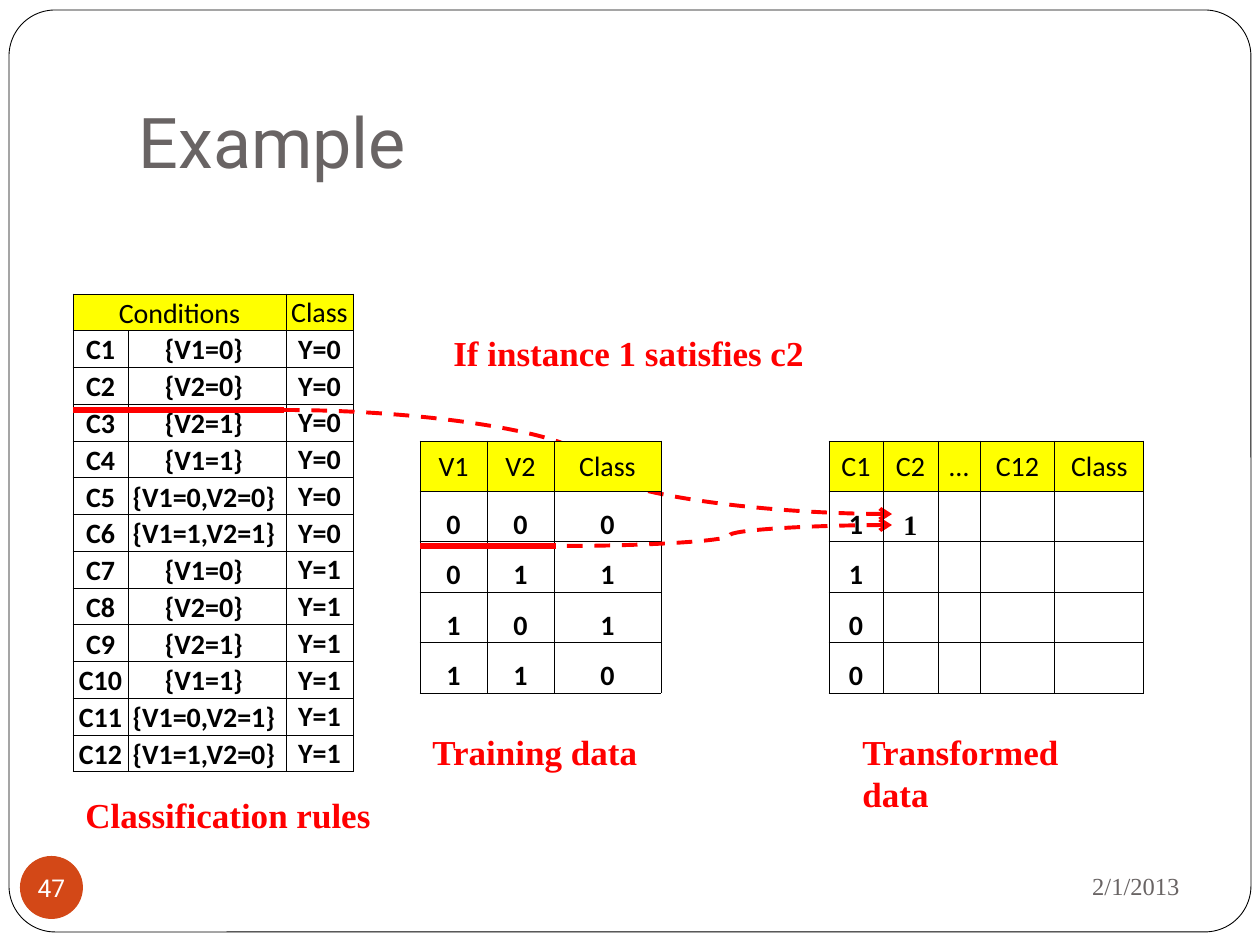
from pptx import Presentation
from pptx.dml.color import RGBColor
from pptx.enum.dml import MSO_LINE
from pptx.enum.shapes import MSO_CONNECTOR as LINK, MSO_SHAPE as SHAPE
from pptx.enum.text import MSO_ANCHOR as ANCHOR, PP_ALIGN as ALIGN
from pptx.oxml.ns import qn
from pptx.util import Inches, Pt
from lxml.etree import SubElement

# Content
SERIF, SANS, HEAD = "Times New Roman", "Calibri", "Roboto"
RED, GREY, BLACK, WHITE, YELLOW = "FF0000", "696464", "000000", "FFFFFF", "FFFF00"

sets = ["V1=0", "V2=0", "V2=1", "V1=1", "V1=0,V2=0", "V1=1,V2=1",
        "V1=0", "V2=0", "V2=1", "V1=1", "V1=0,V2=1", "V1=1,V2=0"]
rules = [["Conditions", "", "Class"]] + [
    [f"C{n}", f"{{{cond}}} ", "Y=0" if n <= 6 else "Y=1"]
    for n, cond in enumerate(sets, 1)]
train = [["V1", "V2", "Class"], ["0", "0", "0"], ["0", "1", "1"],
         ["1", "0", "1"], ["1", "1", "0"]]
trans = [["C1", "C2", "…", "C12", "Class"], ["1", "1", "", "", ""]] + [
    [bit, "", "", "", ""] for bit in "100"]

# left, top, height, column widths, rows
tables = {
    "rules": (73, 294, 478, [55, 158, 67], rules),
    "train": (420, 441, 252, [67, 67, 107], train),
    "trans": (829, 441, 252, [54, 55, 42, 75, 89], trans),
}
labels = [
    ("If instance 1 satisfies c2", 441, 325, 441),
    ("Training data", 420, 724, 242),
    ("Classification rules", 73, 787, 315),
    ("Transformed data", 850, 724, 294),
]
rule_curve = (284, 410, 892, 514)
data_curve = (567, 546, 892, 525)
marks = [(73, 410, 284, 410), (420, 546, 556, 546)]

# Helpers
SCALE = Inches(1) / 126


def px(num):
    return round(num * SCALE)


def box(*nums):
    return [px(num) for num in nums]


def paint(fill, code):
    fill.solid()
    fill.fore_color.rgb = RGBColor.from_string(code)


def write(frame, text, size, font, color, bold=False, align=ALIGN.LEFT):
    frame.text = text
    para = frame.paragraphs[0]
    para.alignment = align
    for run in para.runs:
        run.font.size, run.font.name, run.font.bold = Pt(size), font, bold
        run.font.color.rgb = RGBColor.from_string(color)


def inset(part, left, top, right, base):
    part.margin_left, part.margin_top = Inches(left), Inches(top)
    part.margin_right, part.margin_bottom = Inches(right), Inches(base)


def label(text, left, top, wide, high=55, size=20, color=RED, bold=True,
          align=ALIGN.LEFT, anchor=ANCHOR.TOP):
    frame = shapes.add_textbox(*box(left, top, wide, high)).text_frame
    frame.word_wrap = True
    frame.vertical_anchor = anchor
    write(frame, text, size, SERIF, color, bold, align)


def link(ends, width, curve=False):
    kind = LINK.CURVE if curve else LINK.STRAIGHT
    line = shapes.add_connector(kind, *box(*ends))
    paint(line.line.fill, RED)
    line.line.width = Pt(width)
    SubElement(line._element.spPr, qn("a:effectLst"))
    if curve:
        line.line.dash_style = MSO_LINE.DASH
        SubElement(line.line._get_or_add_ln(), qn("a:tailEnd"), type="arrow")


def edge(cell):
    props = cell._tc.get_or_add_tcPr()
    for pos, side in enumerate(("lnL", "lnR", "lnT", "lnB")):
        line = SubElement(props, qn(f"a:{side}"), w=str(Pt(0.5)))
        fill = SubElement(line, qn("a:solidFill"))
        SubElement(fill, qn("a:srgbClr"), val=BLACK)
        props.insert(pos, line)


def grid(name):
    left, top, high, wides, rows = tables[name]
    frame = shapes.add_table(len(rows), len(wides),
                             *box(left, top, sum(wides), high))
    table = frame.table
    table.first_row = table.horz_banding = False
    for col, wide in zip(table.columns, wides):
        col.width = px(wide)
    for row in table.rows:
        row.height = px(high / len(rows))
    for r, row in enumerate(rows):
        for c, text in enumerate(row):
            cell = table.cell(r, c)
            inset(cell, 0.01, 0.01, 0.01, 0)
            is_rule = name == "rules"
            mid = c == 2 if is_rule else r == 0
            cell.vertical_anchor = ANCHOR.MIDDLE if mid else ANCHOR.BOTTOM
            font = SERIF if name == "trans" and (r, c) == (1, 1) else SANS
            write(cell.text_frame, text, 16, font, BLACK, r > 0, ALIGN.CENTER)
            if r == 0:
                paint(cell.fill, YELLOW)
            else:
                cell.fill.background()
            edge(cell)
    return table


# Slide, frame and title
deck = Presentation()
deck.slide_width, deck.slide_height = Inches(10), Inches(7.5)
slide = deck.slides.add_slide(deck.slide_layouts[5])
shapes = slide.shapes

frame = shapes.add_shape(SHAPE.ROUNDED_RECTANGLE, *box(9, 10, 1242, 922))
frame.adjustments[0] = 0.05
frame.shadow.inherit = False
paint(frame.fill, WHITE)
paint(frame.line.fill, BLACK)
frame.line.width = Pt(0.5)
shapes._spTree.insert(2, frame._element)

title = shapes.title
title.left, title.top, title.width, title.height = box(126, 38, 1071, 157)
title.text_frame.vertical_anchor = ANCHOR.BOTTOM
inset(title.text_frame, 0.1, 0.05, 0.1, 0.1)
write(title.text_frame, "Example", 40, HEAD, GREY)

# Date and page number
label("2/1/2013", 850, 853, 342, 66, 14, GREY, False, ALIGN.RIGHT, ANCHOR.MIDDLE)
page = shapes.add_shape(SHAPE.OVAL, *box(20, 856, 63, 63))
page.shadow.inherit = False
paint(page.fill, "D34817")
page.line.fill.background()
inset(page.text_frame, 0, 0, 0, 0)
page.text_frame.word_wrap = False
page.text_frame.vertical_anchor = ANCHOR.MIDDLE
write(page.text_frame, "47", 14, HEAD, WHITE, align=ALIGN.CENTER)

# Tables with the links between them
table = grid("rules")
table.cell(0, 0).merge(table.cell(0, 1))
link(rule_curve, 2.25, curve=True)
grid("train")
link(data_curve, 2.25, curve=True)
for mark in marks:
    link(mark, 3.5)
grid("trans")

# Red labels
for item in labels:
    label(*item)

deck.save("out.pptx")
